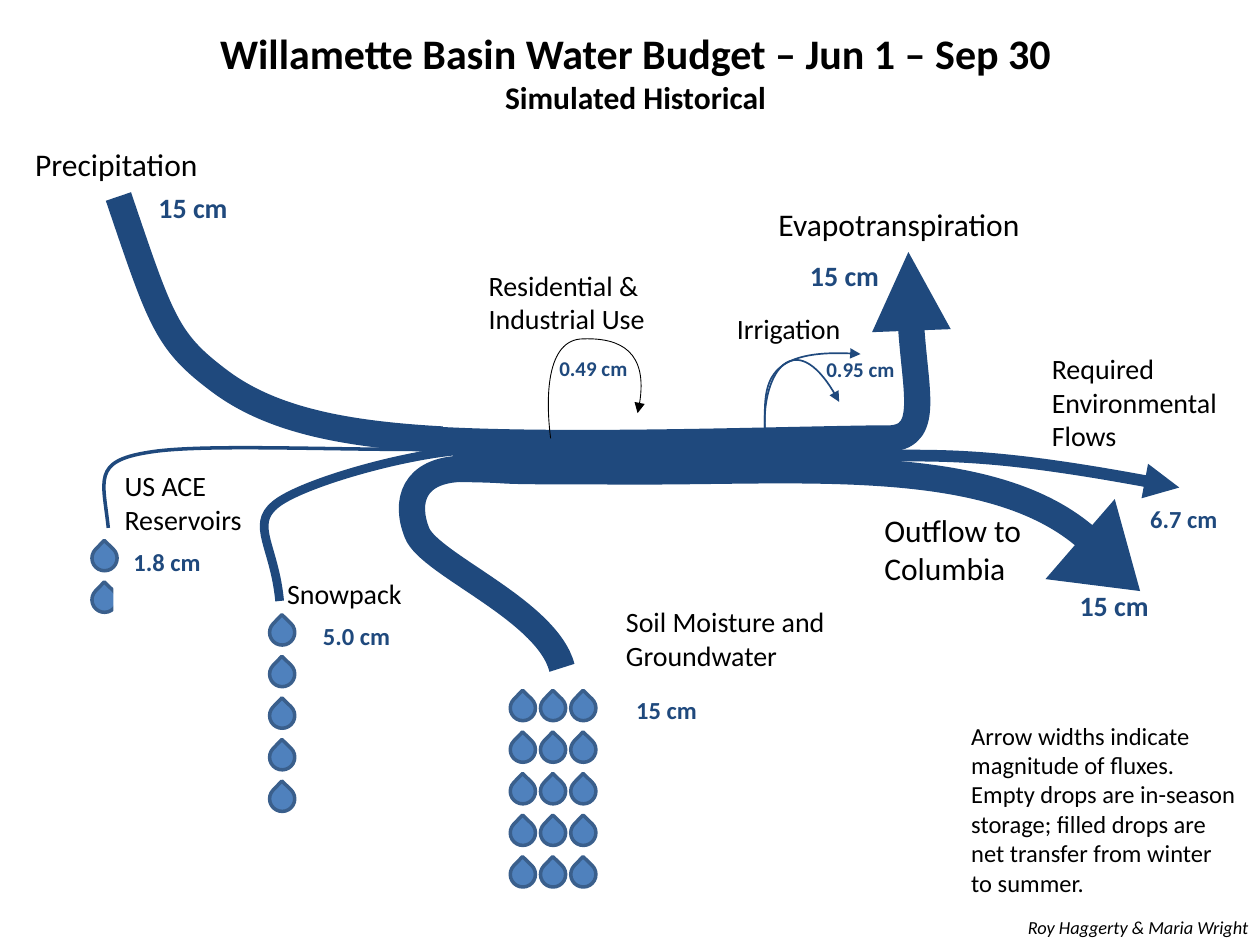
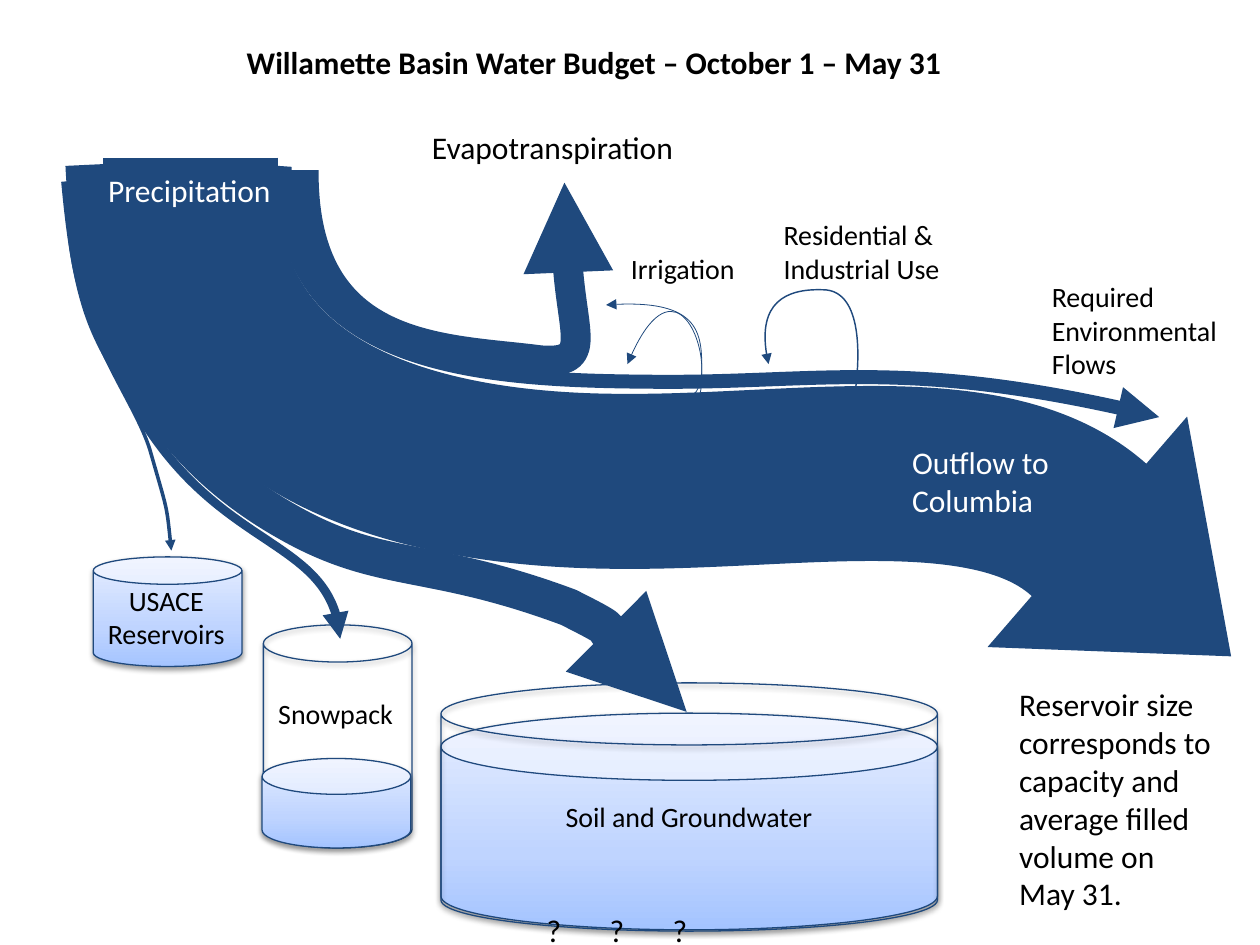
"""Build two slides that show the seasonal water budget of a river basin."""
from copy import deepcopy

from lxml.etree import SubElement
from pptx import Presentation
from pptx.dml.color import RGBColor
from pptx.enum.shapes import MSO_CONNECTOR, MSO_SHAPE
from pptx.enum.text import MSO_AUTO_SIZE, PP_ALIGN
from pptx.oxml.ns import qn
from pptx.util import Inches, Pt

FONT = "Calibri"
COLORS = {
    "water": "1F497D", "drop": "4F81BD", "drop_edge": "3A5F8C",
    "black": "000000", "white": "FFFFFF",
    "deep": "A4C4FF", "middle": "BFD4FF", "surface": "E6EEFF",
}


def rgb(name):
    """Return a named colour."""
    return RGBColor.from_string(COLORS[name])


def box(left, top, width, height):
    """Convert a box in inches to lengths."""
    return [Inches(value) for value in (left, top, width, height)]


def paint(shape, fill=None, line=None, line_width=1):
    """Set fill and outline, and drop the theme shadow."""
    shape.shadow.inherit = False
    if fill:
        shape.fill.solid()
        shape.fill.fore_color.rgb = rgb(fill)
    else:
        shape.fill.background()
    if line:
        shape.line.color.rgb = rgb(line)
        shape.line.width = Pt(line_width)
    else:
        shape.line.fill.background()


def label(slide, text, place, size=16, color="black", bold=False,
          italic=False, centered=False, wrap=False):
    """Add a text box with one style throughout."""
    text_frame = slide.shapes.add_textbox(*box(*place)).text_frame
    text_frame.text = text
    text_frame.word_wrap = wrap
    text_frame.auto_size = MSO_AUTO_SIZE.SHAPE_TO_FIT_TEXT
    for paragraph in text_frame.paragraphs:
        if centered:
            paragraph.alignment = PP_ALIGN.CENTER
        for run in paragraph.runs:
            run.font.name = FONT
            run.font.size = Pt(size)
            run.font.bold = bold
            run.font.italic = italic
            run.font.color.rgb = rgb(color)
    return text_frame


def amount(slide, text, place, size=14, **style):
    """Add a bold blue water depth."""
    label(slide, text, place, size, "water", bold=True, **style)


def bezier_point(curve, t):
    """Return the point at t on a cubic curve."""
    weights = ((1 - t) ** 3, 3 * t * (1 - t) ** 2, 3 * t * t * (1 - t), t ** 3)
    return tuple(round(sum(weight * point[axis] for weight, point in zip(weights, curve)))
                 for axis in (0, 1))


def flow(slide, left, top, offsets, width, arrow=False, color="water"):
    """Draw cubic curves from a start point, with control points offset from it."""
    points = [(Inches(left + x), Inches(top + y)) for x, y in [(0, 0), *offsets]]
    curves = [points[i:i + 4] for i in range(0, len(points) - 1, 3)]
    samples = [bezier_point(curve, step / 40) for curve in curves for step in range(41)]
    builder = slide.shapes.build_freeform(*samples[0])
    builder.add_line_segments(samples[1:], close=False)
    shape = builder.convert_to_shape()
    paint(shape, line=color, line_width=width)

    path = shape._element.find(".//" + qn("a:path"))
    for child in list(path):
        path.remove(child)
    segments = [("a:moveTo", points[:1])] + [("a:cubicBezTo", curve[1:]) for curve in curves]
    for tag, segment in segments:
        element = SubElement(path, qn(tag))
        for x, y in segment:
            SubElement(element, qn("a:pt"), x=str(x - shape.left), y=str(y - shape.top))
    if arrow:
        SubElement(shape._element.find(".//" + qn("a:ln")), qn("a:tailEnd"), type="triangle")


def residential_loop(slide, left, top, direction, width, color="water"):
    """Draw the loop of residential use; direction -1 turns it to the right."""
    loop = [(.04, -.31), (.04, -.79), (-.26, -.79), (-.56, -.8), (-.8, -.67), (-.69, -.2)]
    flow(slide, left, top, [(direction * x, y) for x, y in loop], width, True, color)


def irrigation_flows(slide, left, top, direction, width, return_top, return_curve):
    """Draw the irrigation arrow and its return branch."""
    intake = [(-.34, .03), (-.58, .01), (-.58, -.29)]
    field = [(-.58, -.61), (-.62, -.94), (.18, -.88)]
    for start, curve in ((top, field), (return_top, return_curve)):
        offsets = [(direction * x, y) for x, y in intake + curve]
        flow(slide, left, start, offsets, width, True)


def outflow_head(slide, *place):
    """Add the large rotated head of the outflow."""
    shape = slide.shapes.add_shape(MSO_SHAPE.ISOSCELES_TRIANGLE, *box(*place))
    shape.rotation = 130.9
    paint(shape, "water")


def storage_drops(slide, left, top, columns, rows, half_last=False):
    """Add a grouped grid of drops, the last of which may be cut in half."""
    group = slide.shapes.add_group_shape()
    for row in range(rows):
        for column in range(columns):
            place = box(left + .24 * column, top + .33 * row, .2, .2)
            drop = group.shapes.add_shape(MSO_SHAPE.TEAR, *place)
            drop.rotation = 314.1
            paint(drop, "drop", "drop_edge", 2)
    if half_last:
        place = box(left + .17, top + .33 * rows - .37, .22, .31)
        paint(group.shapes.add_shape(MSO_SHAPE.RECTANGLE, *place), "white")


def reservoir(slide, place, filled=True, adjustment=.25):
    """Add a cylinder, filled with water or empty."""
    shape = slide.shapes.add_shape(MSO_SHAPE.CAN, *box(*place))
    shape.adjustments[0] = adjustment
    paint(shape, line="water", line_width=.75)
    if filled:
        shape.fill.gradient()
        shape.fill.gradient_angle = 90
        stop_list = shape._element.find(".//" + qn("a:gsLst"))
        stop_list.append(deepcopy(stop_list[-1]))
        stops = ((0, "deep"), (.35, "middle"), (1, "surface"))
        for stop, (position, color) in zip(shape.fill.gradient_stops, stops):
            stop.position = position
            stop.color.rgb = rgb(color)
    effects = shape._element.spPr.find(qn("a:effectLst"))
    shadow = SubElement(effects, qn("a:outerShdw"), blurRad="40000", dist="20000",
                        dir="5400000", rotWithShape="0")
    shadow_color = SubElement(shadow, qn("a:srgbClr"), val=COLORS["black"])
    SubElement(shadow_color, qn("a:alpha"), val="38000")


def destination_labels(slide, evaporation, residential, irrigation, environment,
                       outflow, outflow_color):
    """Name the places water goes to, each at its left and top."""
    label(slide, "Evapotranspiration", (*evaporation, 2.14, .4), 18)
    label(slide, "Residential & Industrial Use", (*residential, 1.72, .64), wrap=True)
    label(slide, "Irrigation", (*irrigation, 1.04, .37))
    label(slide, "Required Environmental Flows", (*environment, 1.67, .91), wrap=True)
    label(slide, "Outflow to Columbia", (*outflow, 1.4, .71), 18, outflow_color, wrap=True)


def summer_flows(slide):
    """Draw the flows of the dry season."""
    flow(slide, 3.45, 3.49, [(1.07, .06), (2.66, 0), (3.54, -.01),
                             (3.95, .02), (3.76, -.6), (3.76, -1.49)], 15, True)
    flow(slide, 3.65, 3.72, [(.61, .01), (0, .02), (1.3, .02),
                             (2.71, .03), (4.25, -.13), (5.01, .58)], 15.2)
    flow(slide, 3.76, 3.61, [(.65, 0), (1.31, .01), (1.96, .01),
                             (3.54, .05), (3.64, -.12), (5.6, .26)], 6.7, True)
    irrigation_flows(slide, 6.65, 3.69, 1, .95, 3.69, [(-.6, -.74), (-.32, -1.13), (.01, -.5)])
    residential_loop(slide, 4.37, 3.48, -1, .5, "black")
    outflow_head(slide, 8.39, 4.17, .84, .63)
    flow(slide, 3.74, 3.56, [(-.78, .03), (-2.1, -.05), (-2.56, .03),
                             (-3.01, .1), (-2.92, .25), (-2.88, .63)], 2)
    flow(slide, 3.67, 3.72, [(-.39, .01), (-.46, .26), (-.36, .51),
                             (-.26, .76), (.67, 1.12), (.79, 1.58)], 15)
    flow(slide, 3.76, 3.57, [(-.48, .01), (-1.39, .27), (-1.58, .44),
                             (-1.77, .6), (-1.58, .77), (-1.54, 1.2)], 5)
    flow(slide, .94, 1.56, [(.34, 1), (.38, 1.15), (.81, 1.47),
                            (1.24, 1.79), (1.85, 1.89), (2.57, 1.93)], 15.2)
    junction = slide.shapes.add_shape(MSO_SHAPE.RECTANGLE, *box(3.61, 3.45, .17, .31))
    paint(junction, "water", "water", 2)


def summer_storage(slide):
    """Add the stores that feed the summer flows."""
    storage_drops(slide, 4.05, 5.52, 3, 5)
    storage_drops(slide, 2.14, 4.92, 1, 5)
    storage_drops(slide, .73, 4.33, 1, 2, half_last=True)
    label(slide, "Snowpack", (2.18, 4.53, 1.12, .37))
    label(slide, "US ACE\nReservoirs", (.89, 3.67, 1.19, .64), wrap=True)
    label(slide, "Soil Moisture and Groundwater", (4.87, 4.75, 1.9, .64), wrap=True)
    amount(slide, "1.8 cm", (.96, 4.29, .75, .34), wrap=True)
    amount(slide, "5.0 cm", (2.36, 4.88, .94, .34), centered=True, wrap=True)
    amount(slide, "15 cm", (4.82, 5.47, .94, .34), centered=True, wrap=True)


def summer_slide(slide):
    """Fill the June to September slide."""
    summer_flows(slide)
    summer_storage(slide)
    destination_labels(slide, (6.08, 1.58), (3.78, 2.08), (5.75, 2.42),
                       (8.25, 2.74), (6.92, 4.01), "black")
    label(slide, "Precipitation", (.18, 1.1, 1.51, .4), 18)
    for left, top in ((1.16, 1.46), (6.33, 2), (8.47, 4.62)):
        amount(slide, "15 cm", (left, top, .76, .37), 16)
    amount(slide, "0.95 cm", (6.46, 2.78, .75, .3), 12)
    amount(slide, "0.49 cm", (4.34, 2.77, .75, .3), 12)
    amount(slide, "6.7 cm", (9.03, 3.95, .74, .34))
    label(slide, "Arrow widths indicate magnitude of fluxes. Empty drops are in-season "
          "storage; filled drops are net transfer from winter to summer.",
          (7.61, 5.67, 2.31, 1.51), 14, wrap=True)
    title = label(slide, "Willamette Basin Water Budget – Jun 1 – Sep 30\nSimulated Historical",
                  (1.61, .17, 6.87, .81), 24, bold=True, centered=True)
    title.paragraphs[1].runs[0].font.size = Pt(18)
    label(slide, "Roy Haggerty & Maria Wright", (8.06, 7.22, 2.07, .29), 10.5, italic=True)


def winter_flows(slide):
    """Draw the flows of the wet season."""
    flow(slide, 1.52, 1.34, [(-.1, 2.19), (2.13, 2.48), (3.43, 2.48),
                             (4.84, 2.49), (6.39, 2.17), (7.15, 2.89)], 100)
    flow(slide, 2.41, 1.35, [(-.01, 1.47), (1.13, 1.41), (1.88, 1.51),
                             (2.29, 1.54), (2.07, 1.17), (2.07, .1)], 17.1, True)
    flow(slide, 2.26, 1.32, [(-.13, 1.65), (1.67, 1.7), (2.94, 1.71),
                             (4.2, 1.72), (4.97, 1.51), (6.94, 1.99)], 8, True)
    irrigation_flows(slide, 4.99, 3.3, -1, .45, 3.22, [(-.58, -.61), (-.31, -1.11), (.01, -.33)])
    residential_loop(slide, 6.79, 3.09, 1, .81)
    outflow_head(slide, 7.99, 3.96, 2.42, 1.51)
    flow(slide, .54, 1.48, [(-.04, 1.06), (.5, 1.61), (.65, 2.09),
                            (.79, 2.58), (.78, 2.51), (.82, 2.89)], 2, True)
    flow(slide, .67, 1.31, [(.07, 1.56), (.82, 2.38), (1.59, 2.82),
                            (2.35, 3.26), (2.71, 3.09), (3.84, 3.51),
                            (4.28, 3.73), (4.69, 4.23), (4.78, 4.34)], 21.7, True)
    inlet = slide.shapes.add_connector(MSO_CONNECTOR.STRAIGHT, Inches(1.51), Inches(1.25),
                                       Inches(1.51), Inches(1.45))
    inlet.line.color.rgb = rgb("water")
    inlet.line.width = Pt(100)
    SubElement(inlet._element.spPr, qn("a:effectLst"))
    flow(slide, .52, 1.44, [(.11, 1.22), (.3, 1.25), (.55, 1.79),
                            (1.16, 2.86), (2.13, 2.83), (2.18, 3.63)], 5, True)


def winter_reservoirs(slide):
    """Add the three reservoirs with their filled volumes."""
    reservoir(slide, (.74, 4.42, 1.18, .87))
    reservoir(slide, (2.09, 4.96, 1.18, 1.77), filled=False)
    reservoir(slide, (2.08, 6.02, 1.18, .71), adjustment=.4)
    reservoir(slide, (3.5, 5.66, 3.94, 1.72), adjustment=.31)
    reservoir(slide, (3.5, 5.42, 3.94, 1.97), filled=False)


def winter_slide(slide):
    """Fill the October to May slide."""
    winter_reservoirs(slide)
    winter_flows(slide)
    destination_labels(slide, (3.33, .97), (6.12, 1.68), (4.91, 1.95),
                       (8.25, 2.17), (7.14, 3.47), "white")
    label(slide, "Precipitation", (.76, 1.31, 1.51, .4), 18, "white")
    label(slide, "Reservoir size corresponds to capacity and average filled volume on May 31.",
          (7.99, 5.39, 1.76, 1.92), 18, wrap=True)
    label(slide, "Willamette Basin Water Budget – October 1 – May 31",
          (1.86, .29, 5.91, .4), 18, bold=True)
    label(slide, "?\t?\t?", (4.24, 7.18, 2.34, .4), 18)
    label(slide, "Snowpack", (2.11, 5.48, 1.12, .37))
    label(slide, "USACE\nReservoirs", (.31, 4.58, 2.02, .64), centered=True, wrap=True)
    label(slide, "Soil and Groundwater", (4.39, 6.3, 2.27, .37), wrap=True)


def main():
    """Build and save the presentation."""
    presentation = Presentation()
    presentation.slide_width, presentation.slide_height = Inches(10), Inches(7.5)
    for fill_slide in (summer_slide, winter_slide):
        fill_slide(presentation.slides.add_slide(presentation.slide_layouts[6]))
    presentation.save("out.pptx")


if __name__ == "__main__":
    main()
